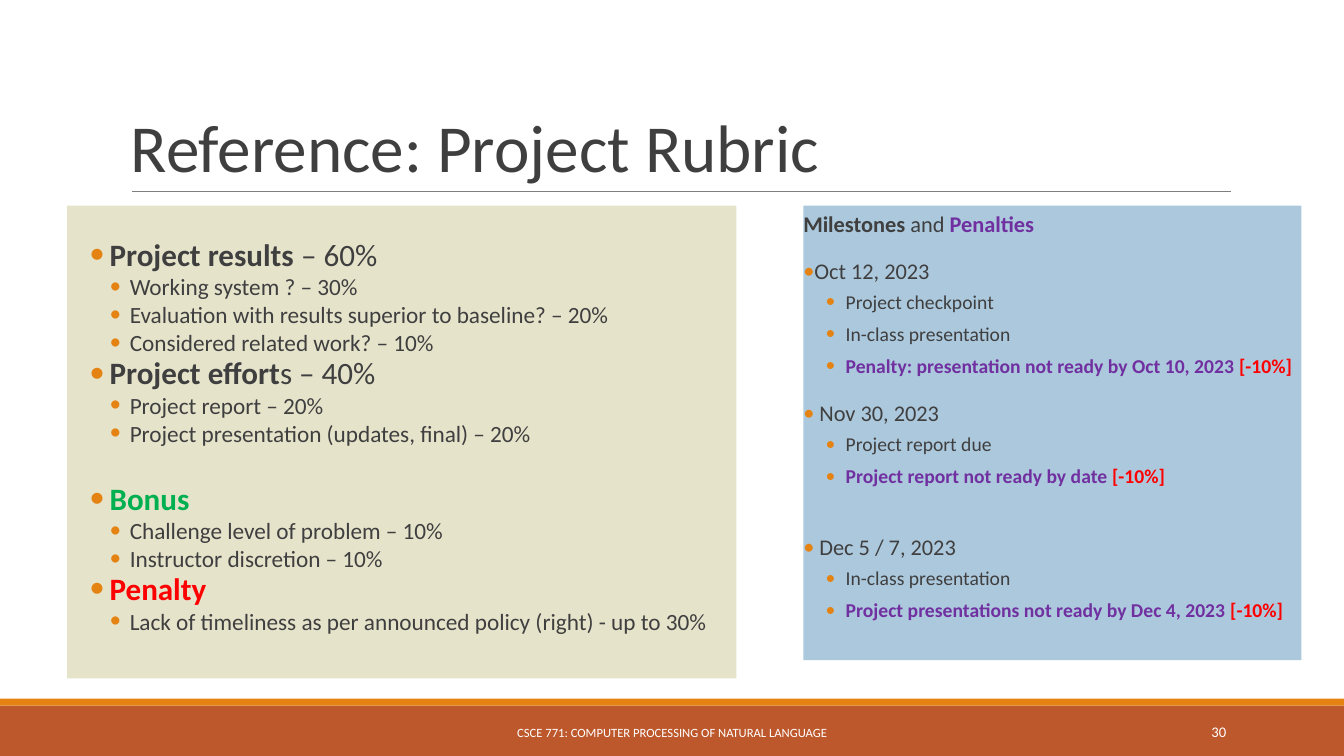
from lxml.etree import SubElement as Sub
from pptx import Presentation as Deck
from pptx.dml.color import RGBColor as RGB
from pptx.enum.shapes import MSO_CONNECTOR as Link, MSO_SHAPE as Kind
from pptx.enum.text import MSO_ANCHOR as Anchor, PP_ALIGN as Align
from pptx.oxml.ns import qn
from pptx.util import Pt

HUES = {
    "ink": "3F3F3F", "white": "FFFFFF", "rust": "BD582C", "orange": "E48312",
    "rule": "7F7F7F", "sand": "E6E3CB", "sky": "ACC8DD",
    "green": "00B050", "red": "FF0000", "purple": "7030A0",
}
PLAIN = {"size": 16, "left": 0, "hang": 0, "gap": 0, "lead": 1, "align": Align.LEFT}
HEAD = PLAIN | {"size": 22.2, "left": 30.3, "hang": 14.4, "gap": 6, "lead": 0.7}
ITEM = HEAD | {"size": 16.6, "left": 44.7}
DATE = PLAIN | {"left": 7.2, "hang": 7.9, "gap": 16}
TASK = PLAIN | {"size": 14, "left": 30.3, "hang": 14.4, "gap": 6}
FIRST = TASK | {"gap": 4}


def hue(name):
    return RGB.from_string(HUES[name])


class Page:
    def __init__(self, slide, font):
        self.shapes = slide.shapes
        self.font = font

    def block(self, box, fill):
        shape = self.shapes.add_shape(Kind.RECTANGLE, *map(Pt, box))
        shape.shadow.inherit = False
        shape.fill.solid()
        shape.fill.fore_color.rgb = hue(fill)
        shape.line.fill.background()
        return shape

    def rule(self, start, end, color, width):
        line = self.shapes.add_connector(Link.STRAIGHT, *map(Pt, start + end))
        line.line.color.rgb = hue(color)
        line.line.width = Pt(width)
        Sub(line._element.spPr, qn("a:effectLst"))

    def label(self, box, text, color, anchor, **style):
        shape = self.shapes.add_textbox(*map(Pt, box))
        self.set_text(shape, [(PLAIN | style, [(text, color, False)])], anchor, 7.2)

    def panel(self, box, fill, rows, top):
        self.set_text(self.block(box, fill), rows, Anchor.TOP, 0, top)

    def set_text(self, shape, rows, anchor, side, top=3.6):
        """Fill a shape with rows of (style, [(text, color, bold), ...])."""
        frame = shape.text_frame
        form = {"word_wrap": True, "vertical_anchor": anchor,
                "margin_left": Pt(side), "margin_right": Pt(side),
                "margin_top": Pt(top), "margin_bottom": Pt(3.6)}
        for key, value in form.items():
            setattr(frame, key, value)
        for i, (style, runs) in enumerate(rows):
            para = frame.add_paragraph() if i else frame.paragraphs[0]
            form = {"alignment": style["align"], "line_spacing": style["lead"],
                    "space_before": Pt(style["gap"]), "space_after": Pt(0)}
            for key, value in form.items():
                setattr(para, key, value)
            if style["hang"]:
                self.bullet(para, style)
            for text, color, bold in runs:
                run = para.add_run()
                run.text = text
                form = {"name": self.font, "size": Pt(style["size"]), "bold": bold}
                for key, value in form.items():
                    setattr(run.font, key, value)
                run.font.color.rgb = hue(color)

    def bullet(self, para, style):
        props = para._p.get_or_add_pPr()
        props.set("marL", str(Pt(style["left"])))
        props.set("indent", str(-Pt(style["hang"])))
        Sub(Sub(props, qn("a:buClr")), qn("a:srgbClr"), val=HUES["orange"])
        Sub(props, qn("a:buFont"), typeface=self.font)
        Sub(props, qn("a:buChar"), char="•")


def plain(style, *texts):
    return [(style, [(text, "ink", False)]) for text in texts]


def head(bold, rest="", color="ink", gap=6):
    runs = [(bold, color, True)] + ([(rest, "ink", False)] if rest else [])
    return [(HEAD | {"gap": gap}, runs)]


def fine(text):
    return [(TASK, [(text, "purple", True), ("[-10%]", "red", True)])]


GRADES = [
    *head("Project results ", "– 60%", gap=0),
    *plain(ITEM, "Working system ? – 30%",
           "Evaluation with results superior to baseline? – 20%",
           "Considered related work? – 10%"),
    *head("Project effort", "s – 40%"),
    *plain(ITEM, "Project report – 20%",
           "Project presentation (updates, final) – 20%"),
    *head("Bonus", color="green", gap=31),
    *plain(ITEM, "Challenge level of problem – 10%", "Instructor discretion – 10%"),
    *head("Penalty", color="red"),
    *plain(ITEM, "Lack of timeliness as per announced policy (right) - up to 30%"),
]
DATES = [
    (PLAIN, [("Milestones", "ink", True), (" and ", "ink", False),
             ("Penalties", "purple", True)]),
    *plain(DATE | {"gap": 14}, "Oct 12, 2023"),
    *plain(FIRST, "Project checkpoint"),
    *plain(TASK, "In-class presentation"),
    *fine("Penalty: presentation not ready by Oct 10, 2023 "),
    *plain(DATE, " Nov 30, 2023"),
    *plain(FIRST, "Project report due"),
    *fine("Project report not ready by date "),
    *plain(DATE | {"gap": 33}, " Dec 5 / 7, 2023"),
    *plain(FIRST, "In-class presentation"),
    *fine("Project presentations not ready by Dec 4, 2023 "),
]


def main():
    deck = Deck()
    deck.slide_width, deck.slide_height = Pt(960), Pt(540)
    page = Page(deck.slides.add_slide(deck.slide_layouts[6]), "Calibri")
    page.block((0, 504, 960, 36), "rust")
    page.block((0, 499, 960, 5), "orange")
    page.rule((94.3, 136.8), (879, 136.8), "rule", 0.75)
    page.label((86.4, 22.3, 792, 114.5), "Reference: Project Rubric", "ink",
               Anchor.BOTTOM, size=48, lead=0.85)
    page.panel((48, 146.9, 478, 337.7), "sand", GRADES, 28.6)
    page.panel((573.8, 146.9, 355.8, 324.7), "sky", DATES, 3.6)
    page.label((290, 508.5, 380, 28.8),
               "CSCE 771: COMPUTER PROCESSING OF NATURAL LANGUAGE", "white",
               Anchor.MIDDLE, size=9, align=Align.CENTER)
    page.label((780, 508.5, 103, 28.8), "30", "white",
               Anchor.MIDDLE, size=10.5, align=Align.RIGHT)
    deck.save("out.pptx")


if __name__ == "__main__":
    main()
